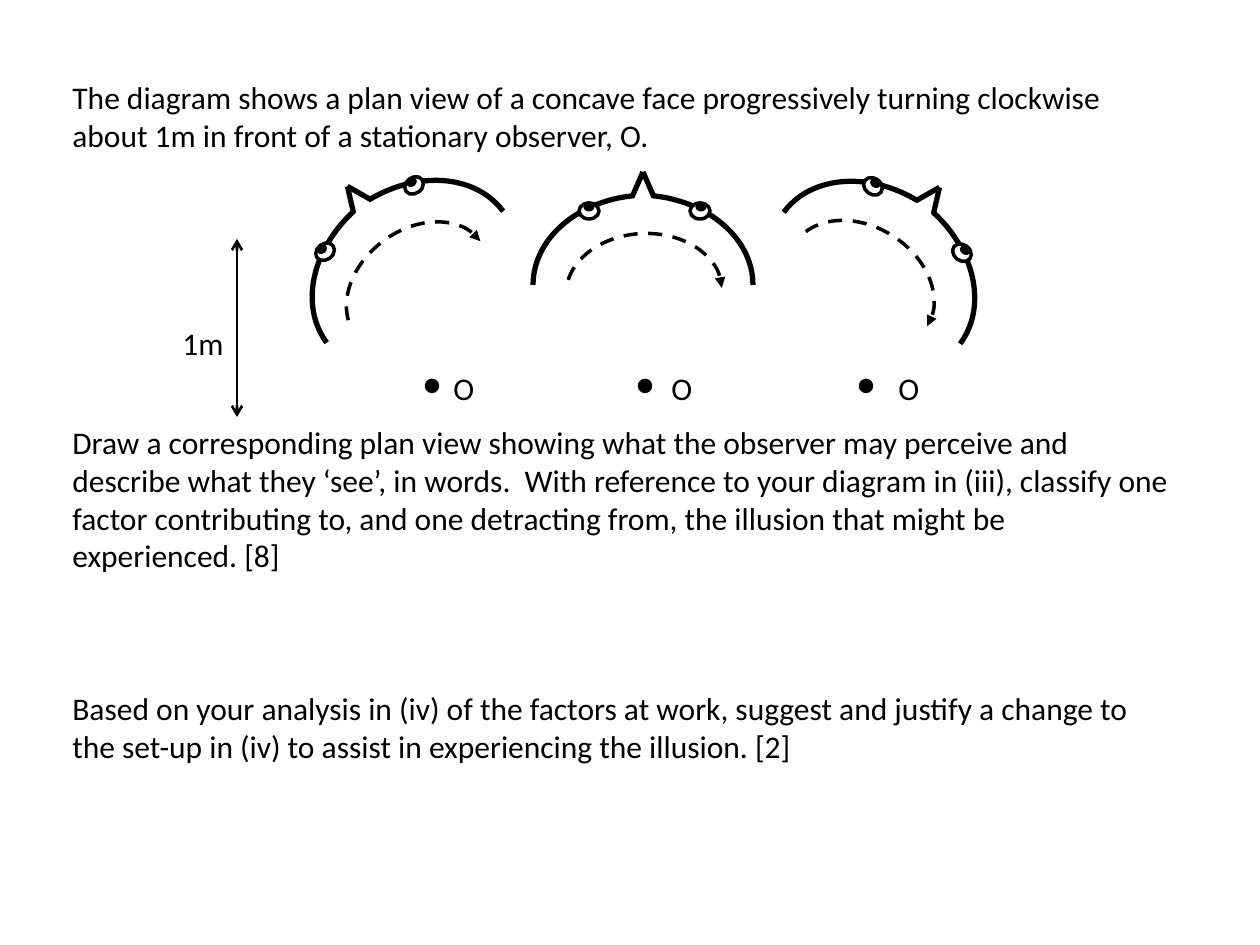
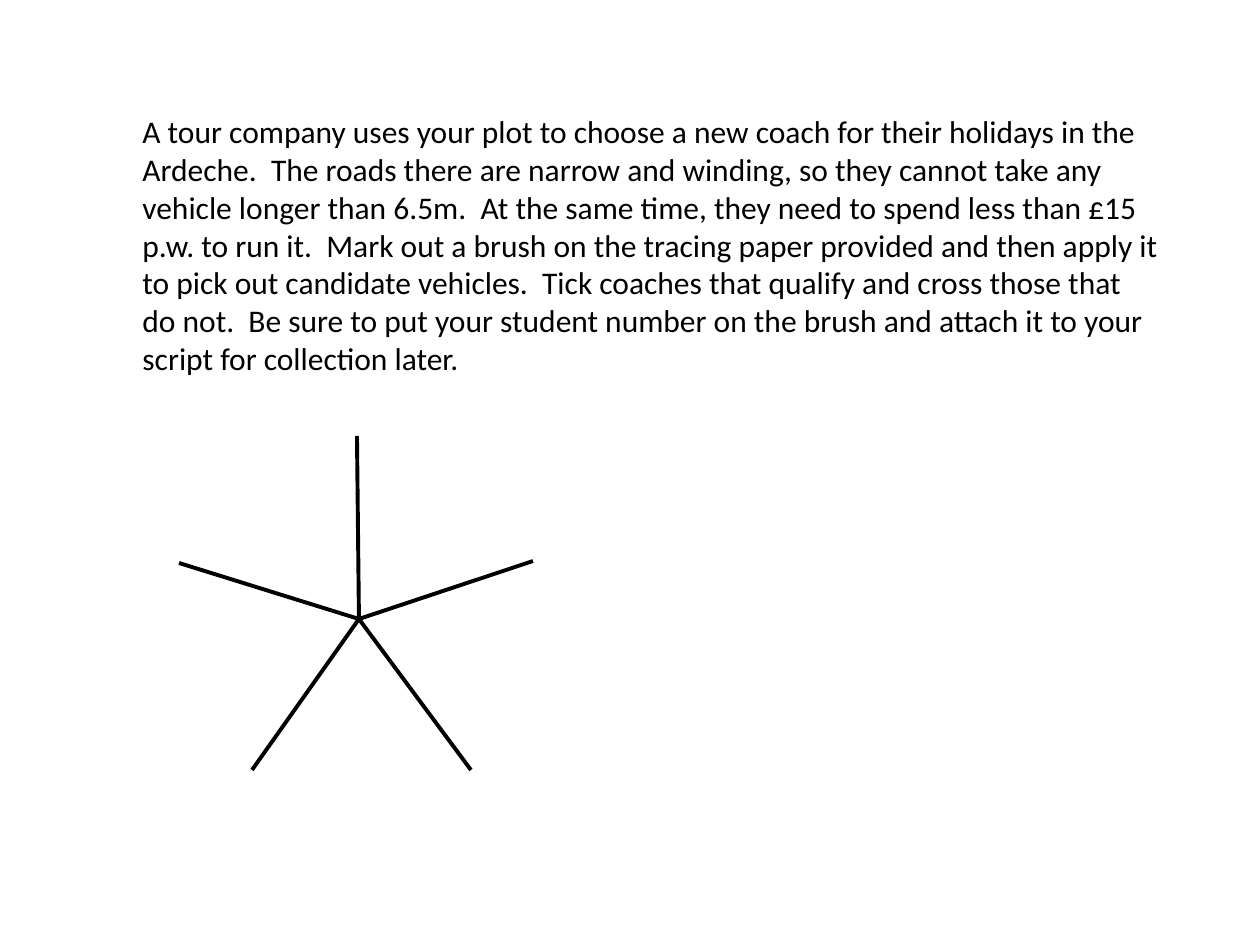
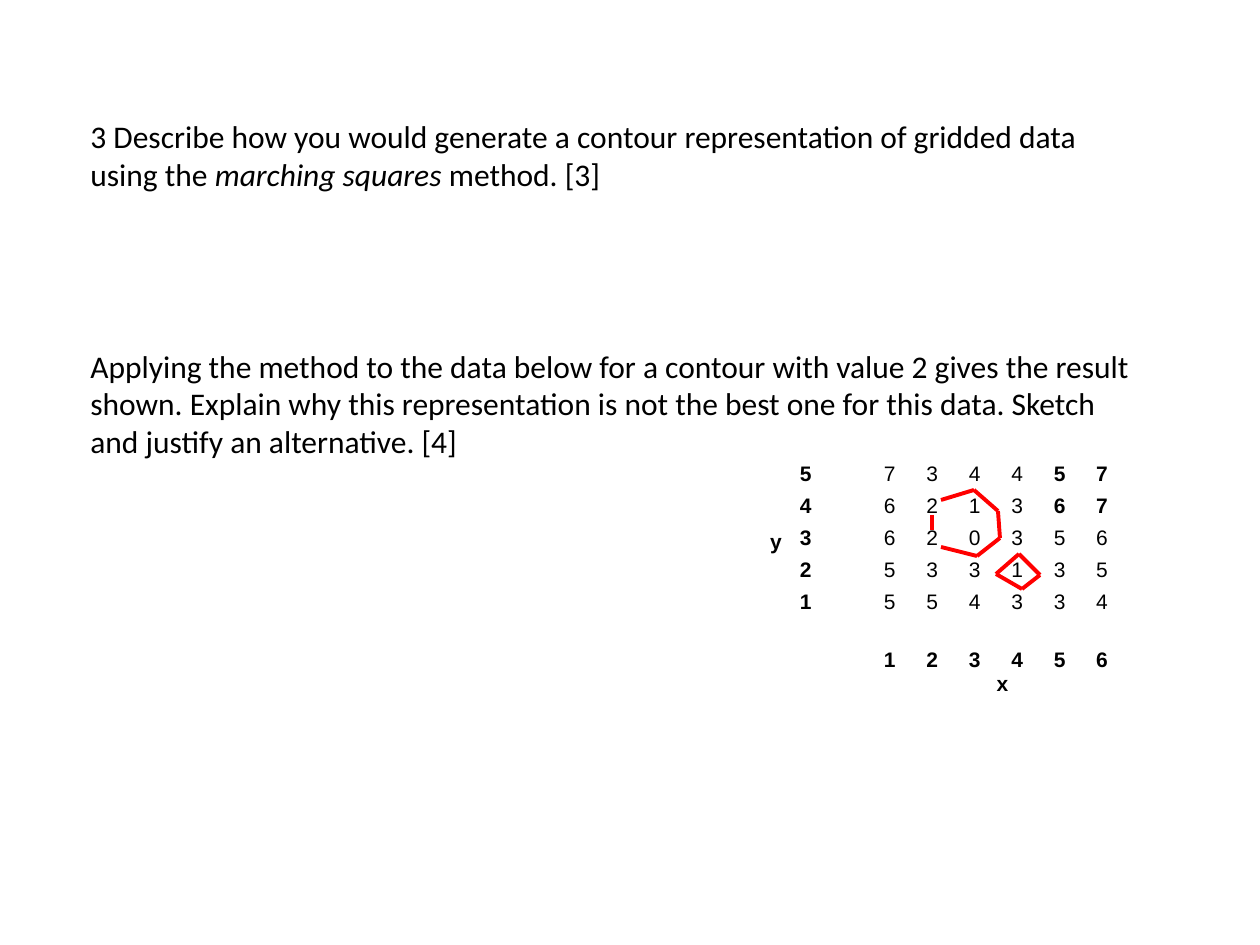
import math

import lxml.etree
import pptx
import pptx.dml.color
import pptx.enum.dml
import pptx.enum.shapes
import pptx.enum.text
import pptx.oxml.ns
import pptx.util

BLACK = pptx.dml.color.RGBColor(0x00, 0x00, 0x00)
WHITE = pptx.dml.color.RGBColor(0xFF, 0xFF, 0xFF)
RED = pptx.dml.color.RGBColor(0xFF, 0x00, 0x00)
BODY_FONT, BODY_SIZE = "Calibri", 18
GRID_FONT, GRID_SIZE = "Arial", 12
BODY_LINE = 21.97  # points from one body line to the next
PIXELS_PER_INCH = 126
SHAPE = pptx.enum.shapes.MSO_SHAPE
ANCHOR = pptx.enum.text.MSO_ANCHOR
ALIGN = pptx.enum.text.PP_ALIGN
qn = pptx.oxml.ns.qn


def px(pixels):
    return pptx.util.Emu(round(pixels * 914400 / PIXELS_PER_INCH))


def set_font(font, name, size, bold=False):
    font.name, font.size, font.bold = name, pptx.util.Pt(size), bold
    font.color.rgb = BLACK


def set_arrowheads(line, **ends):
    """Ends are headEnd and tailEnd, in that order."""
    for end, kind in ends.items():
        lxml.etree.SubElement(line._get_or_add_ln(), qn("a:" + end), type=kind)


def add_text(slide, box, paragraphs, wrap=True):
    """Each paragraph is (blank lines before it, [(words, italic), ...])."""
    frame = slide.shapes.add_textbox(*map(px, box)).text_frame
    frame.word_wrap = wrap
    frame.auto_size = pptx.enum.text.MSO_AUTO_SIZE.SHAPE_TO_FIT_TEXT
    for index, (gap, pieces) in enumerate(paragraphs):
        paragraph = frame.add_paragraph() if index else frame.paragraphs[0]
        set_font(paragraph.font, BODY_FONT, BODY_SIZE)
        paragraph.space_before = pptx.util.Pt(round(gap * BODY_LINE, 1))
        for words, italic in pieces:
            run = paragraph.add_run()
            run.text = words
            if italic:
                run.font.italic = True


def add_line(shapes, start, end, width, color=BLACK):
    line = shapes.add_connector(pptx.enum.shapes.MSO_CONNECTOR.STRAIGHT,
                                *map(px, (*start, *end)))
    line.line.color.rgb = color
    line.line.width = pptx.util.Pt(width)
    lxml.etree.SubElement(line._element.spPr, qn("a:effectLst"))
    return line


def add_path(shapes, origin, points, width, color):
    corners = [(origin[0] + x, origin[1] + y) for x, y in points]
    for start, end in zip(corners, corners[1:]):
        add_line(shapes, start, end, width, color)


def add_centred(shapes, kind, centre, size, turn=0, fill=None, width=0):
    """A preset shape about its centre; no fill or no line when not given."""
    (x, y), (w, h) = centre, size
    shape = shapes.add_shape(kind, px(x - w / 2), px(y - h / 2), px(w), px(h))
    shape.shadow.inherit = False
    shape.rotation = turn % 360
    if fill is None:
        shape.fill.background()
    else:
        shape.fill.solid()
        shape.fill.fore_color.rgb = fill
    if width:
        shape.line.color.rgb = BLACK
        shape.line.width = pptx.util.Pt(width)
    else:
        shape.line.fill.background()
    return shape


def add_arc(shapes, centre, size, turn, start, width):
    """An arc from the start adjustment clockwise to the right-hand end."""
    arc = add_centred(shapes, SHAPE.ARC, centre, size, turn, width=width)
    arc.adjustments[0], arc.adjustments[1] = start, 0
    return arc


# Concave face in plan view, turned about its centre
def add_face(slide, centre, turn, arrow_centre, arrow_turn):
    parts = slide.shapes.add_group_shape().shapes
    angle = math.radians(turn)
    side = -1 if turn < 0 else 1  # the left-turned face mirrors the right one

    def place(x, y):
        x *= side
        return (centre[0] + x * math.cos(angle) - y * math.sin(angle),
                centre[1] + x * math.sin(angle) + y * math.cos(angle))

    # Two halves of the face
    for half in (1, -1):
        outline = add_arc(parts, place(-5 * half * side, 0), (230, 180), turn, 167.513, 3)
        if half < 0:
            outline._element.spPr.find(qn("a:xfrm")).set("flipH", "1")
    # Nose
    for foot in (-11, 11):
        add_line(parts, place(foot, -88), place(0, -113), 3)
    # Eyes with pupils
    for eye_x, pupil_x in ((57, 58), (-54, -54)):
        add_centred(parts, SHAPE.OVAL, place(eye_x, -74), (20, 16), turn, WHITE, 2)
        add_centred(parts, SHAPE.OVAL, place(pupil_x, -78), (11, 9), turn, BLACK)
    # Direction of turning
    motion = add_arc(parts, arrow_centre, (156, 117), arrow_turn, 115.257, 2)
    motion.line.dash_style = pptx.enum.dml.MSO_LINE.DASH
    set_arrowheads(motion.line, tailEnd="triangle")


def add_observer(slide, dot_x, label_x):
    add_centred(slide.shapes, SHAPE.OVAL, (dot_x, 386), (11, 11), 0, BLACK, 2)
    add_text(slide, (label_x, 363, 47, 50), [(0, [("O", False)])], wrap=False)


def build_face_question(slide):
    add_text(slide, (60, 72, 1123, 776), [
        (0, [("The diagram shows a plan view of a concave face progressively turning "
              "clockwise about 1m in front of a stationary observer, O.", False)]),
        (7, [("Draw a corresponding plan view showing what the observer may perceive "
              "and describe what they ‘see’, in words.  With reference to your diagram "
              "in (iii), classify one factor contributing to, and one detracting from, "
              "the illusion that might be experienced. [8]", False)]),
        (3, [("Based on your analysis in (iv) of the factors at work, suggest and "
              "justify a change to the set-up in (iv) to assist in experiencing the "
              "illusion. [2]", False)]),
    ])
    add_face(slide, (415, 277), -36.7, (418, 288), -36.9)
    add_face(slide, (872, 278), 36.7, (861, 285), 31.9)
    add_face(slide, (643, 285), 0, (644, 292), -3)
    # Viewing distance
    distance = add_line(slide.shapes, (237, 239), (237, 417), 1.5)
    set_arrowheads(distance.line, headEnd="arrow", tailEnd="arrow")
    add_text(slide, (170, 318, 67, 50), [(0, [("1m", False)])], wrap=False)
    for dot_x, label_x in ((432, 441), (645, 659), (866, 886)):
        add_observer(slide, dot_x, label_x)


# Star plot axes
def add_star_axes(slide, hub, tips):
    axes = slide.shapes.add_group_shape().shapes
    for x, y in tips:
        add_line(axes, hub, (hub[0] + x, hub[1] + y), 2.25)


def build_coach_question(slide):
    add_text(slide, (130, 106, 1041, 280), [
        (0, [("A tour company uses your plot to choose a new coach for their holidays in "
              "the Ardeche.  The roads there are narrow and winding, so they cannot take "
              "any vehicle longer than 6.5m.  At the same time, they need to spend less "
              "than £15 p.w. to run it.  Mark out a brush on the tracing paper provided "
              "and then apply it to pick out candidate vehicles.  Tick coaches that "
              "qualify and cross those that do not.  Be sure to put your student number "
              "on the brush and attach it to your script for collection later.", False)]),
    ])
    add_star_axes(slide, (359, 619),
                  [(-2, -183), (174, -58), (112, 151), (-107, 151), (-180, -56)])


# Gridded data with axis labels
def add_data_grid(slide, box):
    rows = ["|5|7|3|4|4|5|7", "|4|6|2|1|3|6|7", "y|3|6|2|0|3|5|6", "|2|5|3|3|1|3|5",
            "|1|5|5|4|3|3|4", "||1|2|3|4|5|6", "||||x|||"]
    heights = [32] * 5 + [50, 24]
    label_widths = [30, 84]
    value_width = (box[2] - sum(label_widths)) / 6
    widths = label_widths + [value_width] * 6

    table = slide.shapes.add_table(len(rows), len(widths), *map(px, box)).table
    table.first_row = table.horz_banding = False
    for column, width in zip(table.columns, widths):
        column.width = px(width)
    for row, height in zip(table.rows, heights):
        row.height = px(height)
    table.cell(6, 4).merge(table.cell(6, 5))

    for r, row in enumerate(rows):
        for c, value in enumerate(row.split("|")):
            cell = table.cell(r, c)
            cell.fill.background()
            cell.margin_left = cell.margin_right = px(9)
            cell.margin_top = cell.margin_bottom = 0
            paragraph = cell.text_frame.paragraphs[0]
            if not value:
                lxml.etree.SubElement(paragraph._p, qn("a:endParaRPr"),
                                      sz=str(GRID_SIZE * 100))
                continue
            paragraph.text = value
            bold = c < 2 or r > 4 or (r < 2 and c > 5)
            set_font(paragraph.font, GRID_FONT, GRID_SIZE, bold)
            if value in "xy":
                paragraph.alignment = ALIGN.CENTER
                cell.vertical_anchor = ANCHOR.MIDDLE
            elif r == 5:
                cell.vertical_anchor = ANCHOR.BOTTOM


# Contour of value 2, measured from the corner of the grid
def add_contour(slide, origin):
    notch = [(171, 53), (171, 68)]
    open_loop = [(180, 38), (213, 28), (237, 49), (239, 76), (216, 94), (180, 85)]
    diamond = [(258, 92), (279, 113), (261, 127), (235, 112), (258, 92)]
    for path_points in (notch, open_loop, diamond):
        add_path(slide.shapes, origin, path_points, 2.25, RED)


def build_contour_question(slide):
    add_text(slide, (78, 111, 1079, 699), [
        (0, [("3 Describe how you would generate a contour representation of gridded "
              "data using the ", False),
             ("marching squares", True), (" method. [3]", False)]),
        (4, [("Applying the method to the data below for a contour with value 2 gives "
              "the result shown. Explain why this representation is not the best one "
              "for this data. Sketch and justify an alternative. [4]", False)]),
    ])
    grid_box = (761, 462, 369, 234)
    add_data_grid(slide, grid_box)
    add_contour(slide, grid_box[:2])


deck = pptx.Presentation()
deck.slide_width, deck.slide_height = px(1260), px(945)
blank_layout = deck.slide_layouts[6]
for build in (build_face_question, build_coach_question, build_contour_question):
    build(deck.slides.add_slide(blank_layout))
deck.save("out.pptx")
